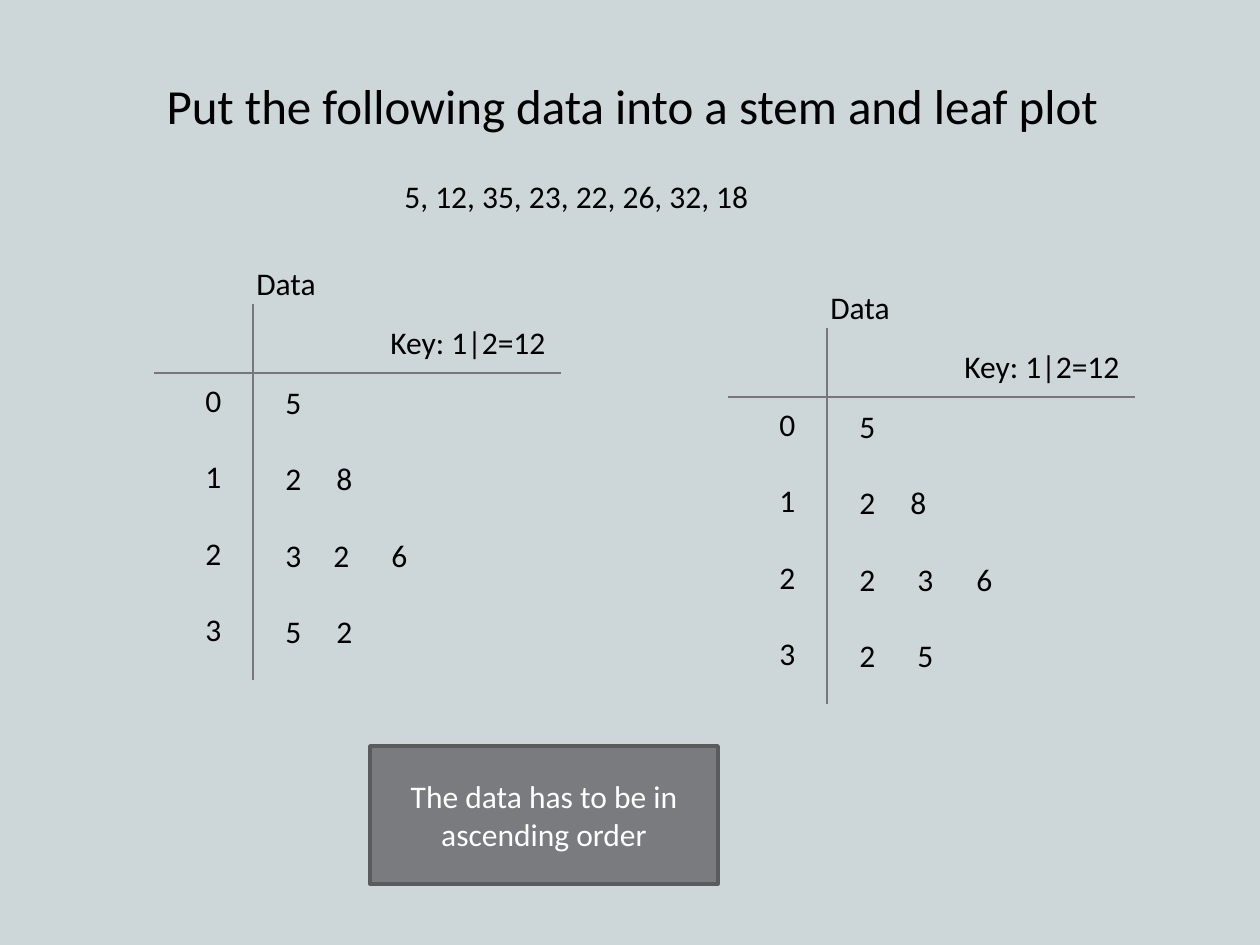
from dataclasses import dataclass

from lxml import etree
from pptx import Presentation
from pptx.dml.color import RGBColor
from pptx.enum.shapes import MSO_CONNECTOR, MSO_SHAPE
from pptx.enum.text import MSO_ANCHOR, MSO_AUTO_SIZE, PP_ALIGN
from pptx.oxml.ns import qn
from pptx.util import Pt

STRAIGHT = MSO_CONNECTOR.STRAIGHT
RECTANGLE = MSO_SHAPE.RECTANGLE
TOP, MIDDLE = MSO_ANCHOR.TOP, MSO_ANCHOR.MIDDLE
LEFT, CENTER = PP_ALIGN.LEFT, PP_ALIGN.CENTER
NO_FIT = MSO_AUTO_SIZE.NONE

BACKGROUND = RGBColor(0xCD, 0xD7, 0xD9)
BLACK = RGBColor(0x00, 0x00, 0x00)
WHITE = RGBColor(0xFF, 0xFF, 0xFF)
AXIS = RGBColor(0x76, 0x78, 0x7B)
NOTE_FILL = RGBColor(0x79, 0x7B, 0x7E)
NOTE_LINE = RGBColor(0x5A, 0x5B, 0x5D)

TITLE_FONT = {"name": "Calibri", "size": Pt(28)}
BODY_FONT = {"name": "Calibri", "size": Pt(18)}
ROW_GAP = Pt(22)


@dataclass(frozen=True)
class Row:
    leaves: str
    tabs: tuple[int, ...] = ()


@dataclass(frozen=True)
class Plot:
    left: int
    top: int
    rows: tuple[Row, ...]


STEMS = tuple(Row(stem) for stem in "0123")
PLOTS = (
    Plot(154, 258, (Row("5"), Row("2\t8", (51,)),
                    Row("3\t2\t6", (48, 106)), Row("5\t2", (51,)))),
    Plot(728, 282, (Row("5"), Row("2\t8", (51,)),
                    Row("2\t3\t6", (58, 117)), Row("2\t5", (58,)))),
)


def px(n: int) -> int:
    return round(n * 914400 / 126)


def set_attrs(obj, values: dict) -> None:
    for name, value in values.items():
        setattr(obj, name, value)


def place(sp, left: int, top: int, width: int, height: int) -> None:
    set_attrs(sp, {"left": px(left), "top": px(top),
                   "width": px(width), "height": px(height)})


def add_tabs(p, tabs: tuple[int, ...]) -> None:
    if tabs:
        tab_list = etree.SubElement(p._p.get_or_add_pPr(), qn("a:tabLst"))
        for pos in tabs:
            etree.SubElement(tab_list, qn("a:tab"), pos=str(px(pos)), algn="l")


def write(sp, rows: tuple[Row, ...], font: dict = BODY_FONT, color: RGBColor = BLACK,
          align: PP_ALIGN = LEFT, anchor: MSO_ANCHOR = TOP) -> None:
    tf = sp.text_frame
    set_attrs(tf, {"word_wrap": True, "auto_size": NO_FIT, "vertical_anchor": anchor})
    for i, row in enumerate(rows):
        p = tf.add_paragraph() if i else tf.paragraphs[0]
        add_tabs(p, row.tabs)
        p.alignment = align
        if i:
            p.space_before = ROW_GAP
        r = p.add_run()
        r.text = row.leaves
        set_attrs(r.font, font)
        r.font.color.rgb = color


def add_text(s, left: int, top: int, width: int, height: int,
             rows: tuple[Row, ...]) -> None:
    sp = s.shapes.add_textbox(px(left), px(top), px(width), px(height))
    write(sp, rows)


def add_axis(s, x1: int, y1: int, x2: int, y2: int) -> None:
    line = s.shapes.add_connector(STRAIGHT, px(x1), px(y1), px(x2), px(y2))
    line.line.color.rgb = AXIS
    line.line.width = Pt(0.75)
    etree.SubElement(line._element.spPr, qn("a:effectLst"))


def add_plot(s, plot: Plot) -> None:
    x, y = plot.left, plot.top
    add_axis(s, x + 99, y + 46, x + 99, y + 422)
    add_axis(s, x, y + 115, x + 407, y + 115)
    add_text(s, x + 39, y + 117, 42, 280, STEMS)
    add_text(s, x + 224, y + 59, 183, 50, (Row("Key: 1|2=12"),))
    add_text(s, x + 90, y, 86, 50, (Row("Data"),))
    add_text(s, x + 119, y + 119, 200, 280, plot.rows)


def add_note(s) -> None:
    sp = s.shapes.add_shape(RECTANGLE, px(370), px(746), px(348), px(138))
    sp.shadow.inherit = False
    sp.fill.solid()
    sp.fill.fore_color.rgb = NOTE_FILL
    sp.line.color.rgb = NOTE_LINE
    sp.line.width = Pt(2)
    write(sp, (Row("The data has to be in ascending order"),),
          color=WHITE, align=CENTER, anchor=MIDDLE)


def main() -> None:
    prs = Presentation()
    set_attrs(prs, {"slide_width": px(1260), "slide_height": px(945)})
    s = prs.slides.add_slide(prs.slide_layouts[5])
    s.background.fill.solid()
    s.background.fill.fore_color.rgb = BACKGROUND
    title = s.shapes.title
    place(title, 154, 69, 966, 72)
    write(title, (Row("Put the following data into a stem and leaf plot"),), TITLE_FONT)
    add_text(s, 392, 171, 382, 50, (Row("5, 12, 35, 23, 22, 26, 32, 18"),))
    for plot in PLOTS:
        add_plot(s, plot)
    add_note(s)
    prs.save("out.pptx")


if __name__ == "__main__":
    main()
